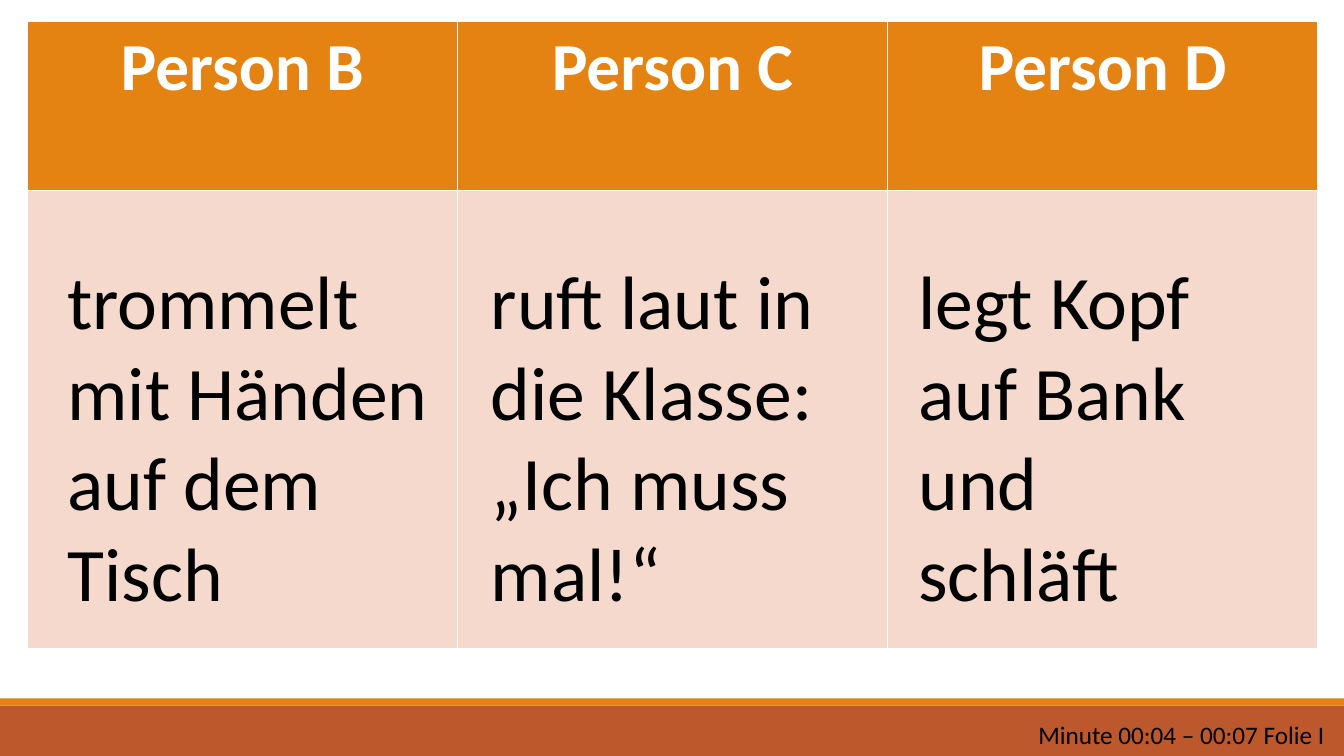
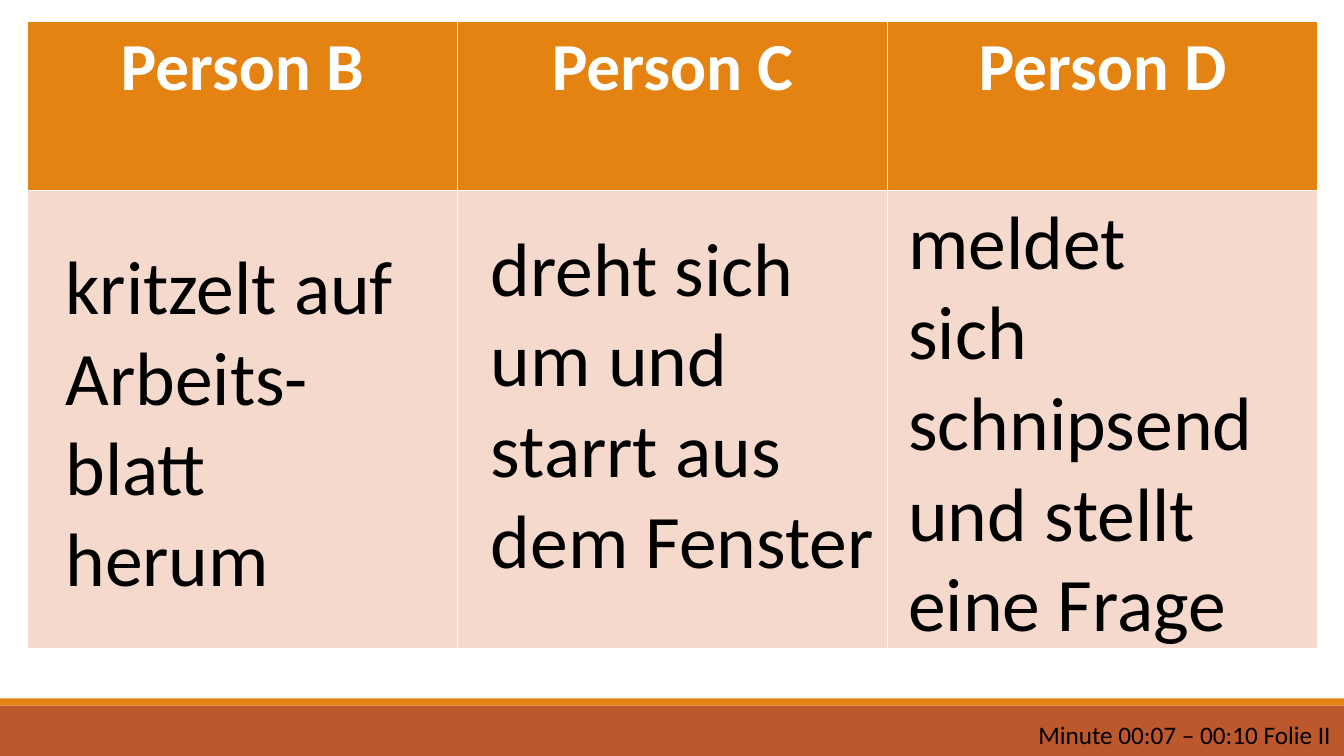
from dataclasses import dataclass

from pptx import Presentation
from pptx.dml.color import RGBColor
from pptx.enum.shapes import MSO_SHAPE as Shape
from pptx.enum.text import PP_ALIGN as Align
from pptx.slide import Slide
from pptx.util import Inches, Pt

RUST = RGBColor(0xBD, 0x58, 0x2C)
ORANGE = RGBColor(0xE4, 0x83, 0x12)
PEACH = RGBColor(0xF5, 0xD9, 0xCC)
WHITE = RGBColor(0xFF, 0xFF, 0xFF)
BLACK = RGBColor(0, 0, 0)

FONT = "Calibri"
WIDTH, HEIGHT = 13.33, 7.5
HEADS = ("Person B", "Person C", "Person D")
ROWS = (1.68, 4.54)
TABLE_WIDTH = 12.8


@dataclass(frozen=True)
class Band:
    top: float
    height: float
    color: RGBColor


@dataclass(frozen=True)
class Note:
    left: float
    top: float
    width: float
    height: float
    lines: tuple[str, ...]
    size: int = 54
    wrap: bool = True


@dataclass(frozen=True)
class Page:
    notes: tuple[Note, ...]
    footer: str


BANDS = (Band(7, 0.5, RUST), Band(6.93, 0.07, ORANGE))

PAGES = (
    Page(
        (
            Note(0.57, 2.47, 3.89, 3.74, ("trommelt mit Händen auf dem Tisch",)),
            Note(4.77, 2.47, 3.67, 3.74,
                 ("ruft laut in die Klasse:", "„Ich muss mal!“")),
            Note(9.01, 2.47, 3.48, 3.74, ("legt Kopf auf Bank und schläft",)),
        ),
        "Minute 00:04 – 00:07 Folie I",
    ),
    Page(
        (
            Note(0.55, 2.32, 3.65, 3.74, ("kritzelt auf Arbeits-blatt herum",)),
            Note(4.77, 2.14, 4.15, 3.74,
                 ("dreht sich um und starrt aus dem Fenster",)),
            Note(8.91, 1.87, 3.65, 4.64,
                 ("meldet sich schnipsend und stellt eine Frage",)),
        ),
        "Minute 00:07 – 00:10 Folie II",
    ),
)


def style(para, size: int, color: RGBColor, bold: bool = False) -> None:
    font = para.font
    font.name, font.size, font.bold = FONT, Pt(size), bold
    font.color.rgb = color


def add_band(slide: Slide, band: Band) -> None:
    bar = slide.shapes.add_shape(
        Shape.RECTANGLE, 0, Inches(band.top), Inches(WIDTH), Inches(band.height))
    bar.shadow.inherit = False
    bar.fill.solid()
    bar.fill.fore_color.rgb = band.color
    bar.line.fill.background()


def add_grid(slide: Slide) -> None:
    """Add the table of persons; the default table style gives its white rules."""
    table = slide.shapes.add_table(
        len(ROWS), len(HEADS), Inches(0.27), Inches(0.21),
        Inches(TABLE_WIDTH), Inches(sum(ROWS))).table
    for row, height in zip(table.rows, ROWS):
        row.height = Inches(height)
    for col, head in enumerate(HEADS):
        table.columns[col].width = Inches(TABLE_WIDTH / len(HEADS))
        for row, color in enumerate((ORANGE, PEACH)):
            fill = table.cell(row, col).fill
            fill.solid()
            fill.fore_color.rgb = color
        cell = table.cell(0, col)
        cell.text = head
        para = cell.text_frame.paragraphs[0]
        para.alignment = Align.CENTER
        style(para, 48, WHITE, bold=True)


def add_note(slide: Slide, note: Note) -> None:
    box = slide.shapes.add_textbox(
        Inches(note.left), Inches(note.top), Inches(note.width), Inches(note.height))
    frame = box.text_frame
    frame.word_wrap = note.wrap
    frame.text = "\n".join(note.lines)
    for para in frame.paragraphs:
        style(para, note.size, BLACK)


def add_page(deck, page: Page) -> None:
    slide = deck.slides.add_slide(deck.slide_layouts.get_by_name("Blank"))
    for band in BANDS:
        add_band(slide, band)
    add_grid(slide)
    for note in page.notes:
        add_note(slide, note)
    add_note(slide, Note(10.2, 7.09, 3.13, 0.4, (page.footer,), size=18, wrap=False))


def main() -> None:
    deck = Presentation()
    deck.slide_width, deck.slide_height = Inches(WIDTH), Inches(HEIGHT)
    for page in PAGES:
        add_page(deck, page)
    deck.save("out.pptx")


if __name__ == "__main__":
    main()
